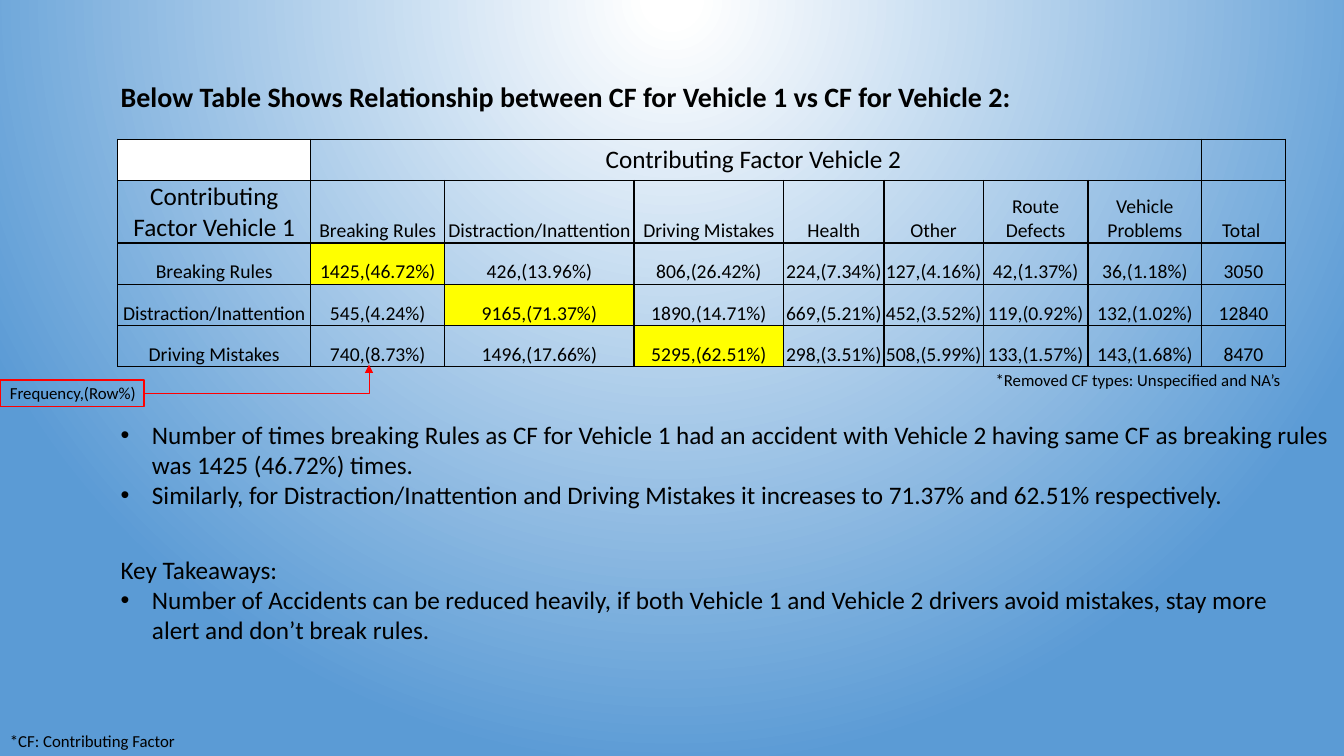
import pptx
import pptx.dml.color
import pptx.enum.shapes
import pptx.enum.text
import pptx.oxml
import pptx.oxml.ns
import pptx.util
from pptx.util import Cm

COLORS = {"text": "000000", "accent": "FF0000", "highlight": "FFFF00",
          "white": "FFFFFF", "sky": "5B9BD5"}
FONT = "Calibri"
NS = pptx.oxml.ns.nsdecls("a")

SPANNING_HEADER = "Contributing Factor Vehicle 2 "
ROWS = [
    ["Contributing Factor Vehicle 1", "Breaking Rules", "Distraction/Inattention", "Driving Mistakes",
     "Health", "Other", "Route Defects", "Vehicle Problems", "Total "],
    ["Breaking Rules", "1425,(46.72%)", "426,(13.96%)", "806,(26.42%)", "224,(7.34%)",
     "127,(4.16%)", "42,(1.37%)", "36,(1.18%)", "3050"],
    ["Distraction/Inattention", "545,(4.24%)", "9165,(71.37%)", "1890,(14.71%)", "669,(5.21%)",
     "452,(3.52%)", "119,(0.92%)", "132,(1.02%)", "12840"],
    ["Driving Mistakes", "740,(8.73%)", "1496,(17.66%)", "5295,(62.51%)", "298,(3.51%)",
     "508,(5.99%)", "133,(1.57%)", "143,(1.68%)", "8470"],
]
COL_WIDTHS = [4.86, 3.38, 4.77, 3.77, 2.53, 2.5, 2.64, 2.87, 2.1]
ROW_HEIGHTS = [1.04, 1.17, 1.04, 1.04, 1.04]
TABLE_LEFT, TABLE_TOP = 2.97, 3.51

TEXTS = [
    {"box": (2.79, 1.88, 23.83, 1.11), "size": 20, "bold": True, "wrap": True, "paragraphs": [
        (False, ["Below Table Shows Relationship between CF for Vehicle 1 vs CF for Vehicle 2:"])]},
    {"box": (2.79, 10.44, 31.52, 2.57), "size": 18, "wrap": False, "paragraphs": [
        (True, ["Number of times breaking Rules as CF for Vehicle 1 had an accident with Vehicle 2 "
                "having same CF as breaking rules ", "was 1425 (46.72%) times."]),
        (True, ["Similarly, for Distraction/Inattention and Driving Mistakes it increases to "
                "71.37% and 62.51% respectively."])]},
    {"box": (0, 18.29, 4.72, 0.76), "size": 12, "wrap": False, "paragraphs": [
        (False, ["*CF: Contributing Factor"])]},
    {"box": (2.79, 13.84, 30.56, 2.57), "size": 18, "wrap": True, "paragraphs": [
        (False, ["Key Takeaways:"]),
        (True, ["Number of Accidents can be reduced heavily, if both Vehicle 1 and Vehicle 2 drivers "
                "avoid mistakes, stay more alert and don’t break rules."])]},
    {"box": (24.84, 9.19, 7.77, 0.76), "size": 12, "wrap": False, "paragraphs": [
        (False, ["*Removed CF types: Unspecified and NA’s"])]},
    {"box": (0, 9.53, 4.06, 0.76), "size": 12, "wrap": True, "paragraphs": [
        (False, ["Frequency,(Row%)"])]},
]
LEGEND_BOX = (0, 9.58, 3.63, 0.66)
ARROW_TIP = (9.3, 9.19)


def rgb(name):
    """Return the named colour."""
    return pptx.dml.color.RGBColor.from_string(COLORS[name])


def add_run(p, text, size, bold=False):
    """Add one formatted run to a paragraph."""
    r = p.add_run()
    r.text = text
    r.font.name, r.font.size, r.font.bold = FONT, pptx.util.Pt(size), bold
    r.font.color.rgb = rgb("text")


def set_background(slide):
    """Give the slide a circular gradient glowing from the top."""
    slide.background.fill.solid()
    bg_pr = slide.background.fill._xPr
    stops = "".join(f'<a:gs pos="{pos}"><a:srgbClr val="{COLORS[name]}"/></a:gs>'
                    for pos, name in ((0, "white"), (3000, "white"), (100000, "sky")))
    gradient = pptx.oxml.parse_xml(
        f'<a:gradFill {NS} rotWithShape="1"><a:gsLst>{stops}</a:gsLst><a:path path="circle">'
        '<a:fillToRect l="50000" t="-80000" r="50000" b="180000"/></a:path></a:gradFill>')
    bg_pr.replace(bg_pr[0], gradient)


def style_cell(cell, fill):
    """Draw the cell borders and set its fill."""
    tc_pr = cell._tc.get_or_add_tcPr()
    for side in ("lnL", "lnR", "lnT", "lnB"):
        tc_pr.append(pptx.oxml.parse_xml(
            f'<a:{side} {NS} w="12700"><a:solidFill><a:srgbClr val="{COLORS["text"]}"/>'
            f'</a:solidFill></a:{side}>'))
    if fill:
        cell.fill.solid()
        cell.fill.fore_color.rgb = rgb(fill)
    else:
        cell.fill.background()


def add_cell_text(cell, text, size):
    """Write centred text into a cell."""
    p = cell.text_frame.paragraphs[0]
    p.alignment = pptx.enum.text.PP_ALIGN.CENTER
    add_run(p, text, size)


def add_factor_table(slide):
    """Add the table of contributing factors."""
    s = slide.shapes.add_table(len(ROW_HEIGHTS), len(COL_WIDTHS), Cm(TABLE_LEFT), Cm(TABLE_TOP),
                               Cm(sum(COL_WIDTHS)), Cm(sum(ROW_HEIGHTS)))
    table = s.table
    table.first_row = table.horz_banding = False
    for column, width in zip(table.columns, COL_WIDTHS):
        column.width = Cm(width)
    for row, height in zip(table.rows, ROW_HEIGHTS):
        row.height = Cm(height)
    for col in range(len(COL_WIDTHS)):
        style_cell(table.cell(0, col), "white" if col == 0 else None)
    table.cell(0, 1).merge(table.cell(0, 7))
    add_cell_text(table.cell(0, 1), SPANNING_HEADER, 18)
    for i, values in enumerate(ROWS):
        for col, value in enumerate(values):
            cell = table.cell(i + 1, col)
            style_cell(cell, "highlight" if i == col and i > 0 else None)
            cell.vertical_anchor = pptx.enum.text.MSO_ANCHOR.BOTTOM
            cell.margin_left = cell.margin_right = cell.margin_top = Cm(0.02)
            cell.margin_bottom = 0
            add_cell_text(cell, value, 18 if i == col == 0 else 14)


def add_text(slide, item):
    """Add a text box with plain or bulleted paragraphs."""
    tf = slide.shapes.add_textbox(*map(Cm, item["box"])).text_frame
    tf.word_wrap = item["wrap"]
    tf.auto_size = pptx.enum.text.MSO_AUTO_SIZE.SHAPE_TO_FIT_TEXT
    for i, (bulleted, lines) in enumerate(item["paragraphs"]):
        p = tf.add_paragraph() if i else tf.paragraphs[0]
        if bulleted:
            p_pr = p._p.get_or_add_pPr()
            p_pr.set("marL", str(Cm(0.79)))
            p_pr.set("indent", str(-Cm(0.79)))
            p_pr.append(pptx.oxml.parse_xml(f'<a:buFont {NS} typeface="Arial"/>'))
            p_pr.append(pptx.oxml.parse_xml(f'<a:buChar {NS} char="•"/>'))
        for j, line in enumerate(lines):
            if j:
                p.add_line_break()
            add_run(p, line, item["size"], item.get("bold", False))


def add_legend(slide):
    """Frame the legend and point it at the table."""
    left, top, width, height = LEGEND_BOX
    s = slide.shapes.add_shape(pptx.enum.shapes.MSO_SHAPE.RECTANGLE, *map(Cm, LEGEND_BOX))
    s.shadow.inherit = False
    s.fill.background()
    s.line.color.rgb = rgb("accent")
    s.line.width = pptx.util.Pt(1)
    arrow = slide.shapes.add_connector(pptx.enum.shapes.MSO_CONNECTOR.ELBOW, Cm(left + width),
                                       Cm(top + height / 2), *map(Cm, ARROW_TIP))
    arrow.line.color.rgb = rgb("accent")
    arrow.line.width = pptx.util.Pt(0.5)
    arrow.line._get_or_add_ln().append(pptx.oxml.parse_xml(f'<a:tailEnd {NS} type="triangle"/>'))
    sp_pr = arrow._element.spPr
    sp_pr.append(pptx.oxml.parse_xml(f'<a:effectLst {NS}/>'))
    guides = sp_pr.find(pptx.oxml.ns.qn("a:prstGeom")).get_or_add_avLst()
    guides.append(pptx.oxml.parse_xml(f'<a:gd {NS} name="adj1" fmla="val 100000"/>'))


def main():
    """Build the slide and save it."""
    prs = pptx.Presentation()
    prs.slide_width, prs.slide_height = Cm(33.87), Cm(19.05)
    slide = prs.slides.add_slide(prs.slide_layouts[6])
    set_background(slide)
    add_factor_table(slide)
    for item in TEXTS:
        add_text(slide, item)
    add_legend(slide)
    prs.save("out.pptx")


if __name__ == "__main__":
    main()
